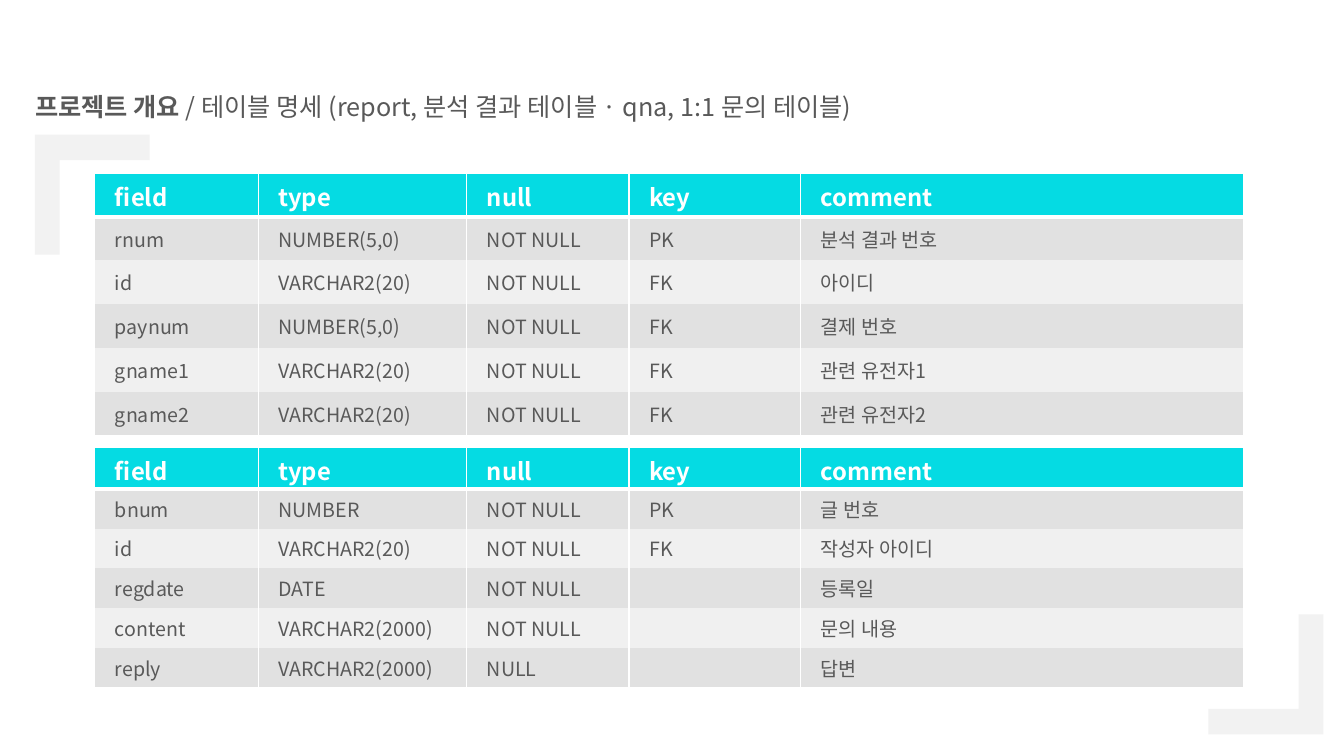
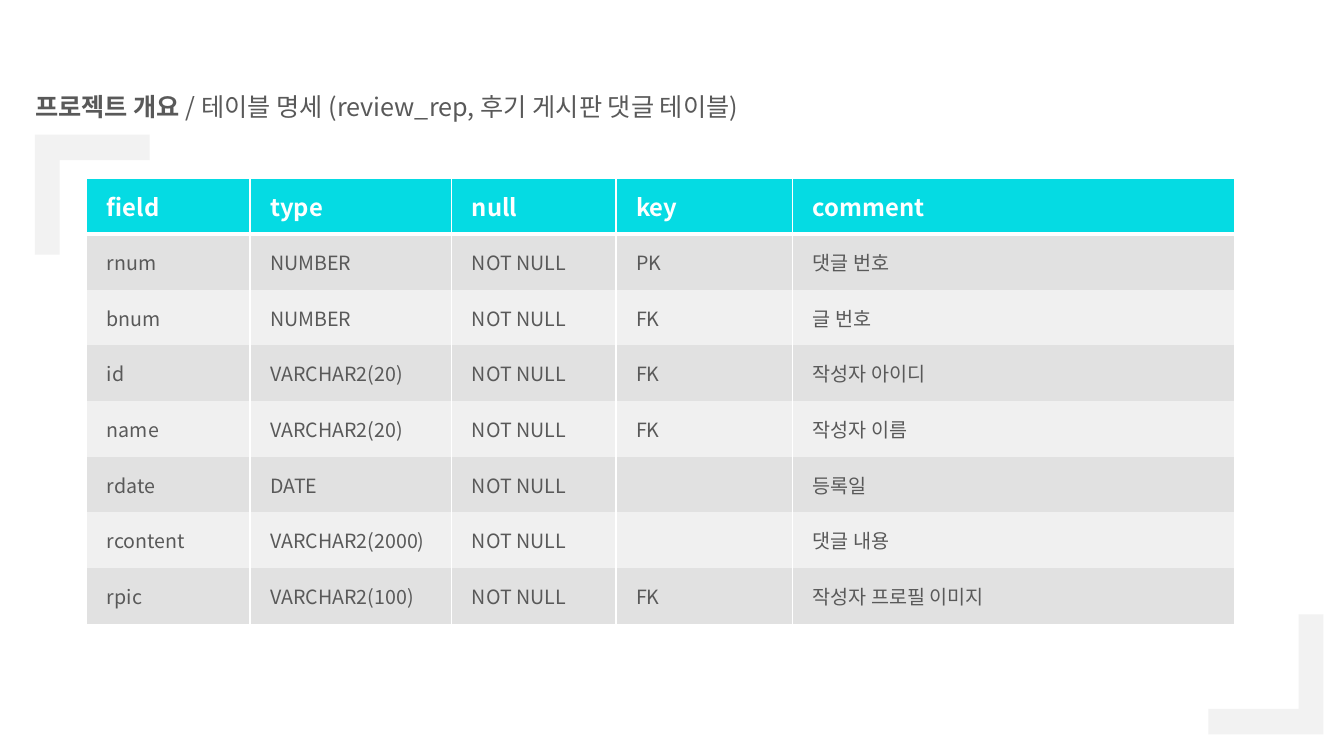
import pptx
import pptx.util
import pptx.dml.color
import pptx.enum.shapes
import pptx.enum.text
import pptx.oxml.ns
from lxml import etree

Inches, Pt = pptx.util.Inches, pptx.util.Pt
RGB = pptx.dml.color.RGBColor
qn = pptx.oxml.ns.qn

# Shared look
FONT = "Noto Sans CJK KR"
WHITE = RGB(0xFF, 0xFF, 0xFF)
GRAY = RGB(0x59, 0x59, 0x59)
CYAN = RGB(0x05, 0xDB, 0xE3)
PALE = RGB(0xF2, 0xF2, 0xF2)
BANDS = [RGB(0xF0, 0xF0, 0xF0), RGB(0xE1, 0xE1, 0xE1)]
TOPIC = "프로젝트 개요 "
HEAD = ("field", "type", "null", "key", "comment")
# left, top, rotation
MARKS = [(0.32, 1.36, 90), (11.96, 6.12, 270)]

# Content
NN = "NOT NULL"
REPORT = [
    ("rnum", "NUMBER(5,0)", NN, "PK", "분석 결과 번호"),
    ("id", "VARCHAR2(20)", NN, "FK", "아이디"),
    ("paynum", "NUMBER(5,0)", NN, "FK", "결제 번호"),
    ("gname1", "VARCHAR2(20)", NN, "FK", "관련 유전자1"),
    ("gname2", "VARCHAR2(20)", NN, "FK", "관련 유전자2"),
]
QNA = [
    ("bnum", "NUMBER", NN, "PK", "글 번호"),
    ("id", "VARCHAR2(20)", NN, "FK", "작성자 아이디"),
    ("regdate", "DATE", NN, "", "등록일"),
    ("content", "VARCHAR2(2000)", NN, "", "문의 내용"),
    ("reply", "VARCHAR2(2000)", "NULL", "", "답변"),
]
REVIEW = [
    ("rnum", "NUMBER", NN, "PK", "댓글 번호"),
    ("bnum", "NUMBER", NN, "FK", "글 번호"),
    ("id", "VARCHAR2(20)", NN, "FK", "작성자 아이디"),
    ("name", "VARCHAR2(20)", NN, "FK", "작성자 이름"),
    ("rdate", "DATE", NN, "", "등록일"),
    ("rcontent", "VARCHAR2(2000)", NN, "", "댓글 내용"),
    ("rpic", "VARCHAR2(100)", NN, "FK", "작성자 프로필 이미지"),
]
WIDE = (1.62, 2.07, 1.61, 1.7, 4.39)
SLIM = (1.62, 2, 1.63, 1.75, 4.39)
SLIDES = [
    ("/ 테이블 명세 (report, 분석 결과 테이블 · qna, 1:1 문의 테이블)", [
        dict(rows=REPORT, left=0.94, top=1.72, high=2.6, head=0.43, cols=WIDE),
        dict(rows=QNA, left=0.94, top=4.44, high=2.38, head=0.41, cols=WIDE),
    ]),
    ("/ 테이블 명세 (review_rep, 후기 게시판 댓글 테이블)", [
        dict(rows=REVIEW, left=0.86, top=1.77, high=4.42, head=0.55, cols=SLIM),
    ]),
]


def write(para, text, size=14, color=GRAY, bold=False):
    """Add one formatted run; an empty text only sets the line size."""
    if not text:
        etree.SubElement(para._p, qn("a:endParaRPr"), sz=str(size * 100))
        return
    run = para.add_run()
    run.text = text
    font = run.font
    font.name, font.size, font.bold = FONT, Pt(size), bold
    font.color.rgb = color
    etree.SubElement(font._element, qn("a:ea"), typeface=FONT)


def edge(cell, side, width):
    """Draw a white cell border, or none for width 0."""
    line = etree.SubElement(cell._tc.get_or_add_tcPr(), qn("a:ln" + side),
                            w=str(Pt(width)))
    if width:
        fill = etree.SubElement(line, qn("a:solidFill"))
        etree.SubElement(fill, qn("a:srgbClr"), val=str(WHITE))
    else:
        etree.SubElement(line, qn("a:noFill"))


def grid(slide, rows, left, top, high, head, cols):
    data = [HEAD] + rows
    table = slide.shapes.add_table(
        len(data), len(cols), Inches(left), Inches(top),
        Inches(sum(cols)), Inches(high)).table
    for col, width in zip(table.columns, cols):
        col.width = Inches(width)
    for r, texts in enumerate(data):
        table.rows[r].height = Inches((high - head) / len(rows) if r else head)
        # Border widths: left, right, top, bottom
        lines = (1, 1, 3 if r == 1 else 0, 0) if r else (1, 1, 1, 3)
        look = {} if r else dict(size=17, color=WHITE, bold=True)
        for c, text in enumerate(texts):
            cell = table.cell(r, c)
            cell.margin_left = Inches(0.2)
            cell.vertical_anchor = pptx.enum.text.MSO_ANCHOR.MIDDLE
            for side, width in zip("LRTB", lines):
                edge(cell, side, width)
            cell.fill.solid()
            cell.fill.fore_color.rgb = BANDS[r % 2] if r else CYAN
            write(cell.text_frame.paragraphs[0], text, **look)


def frame(slide, text):
    # Title line
    title = slide.shapes.title
    title.left, title.top = Inches(0.35), Inches(0.94)
    title.width, title.height = Inches(11.77), Inches(0.27)
    box = title.text_frame
    box.margin_left = box.margin_right = box.margin_top = box.margin_bottom = 0
    box.word_wrap = True
    box.auto_size = pptx.enum.text.MSO_AUTO_SIZE.SHAPE_TO_FIT_TEXT
    box.vertical_anchor = pptx.enum.text.MSO_ANCHOR.TOP
    para = box.paragraphs[0]
    para.alignment = pptx.enum.text.PP_ALIGN.LEFT
    para.line_spacing = 0.9
    write(para, TOPIC, size=18, bold=True)
    write(para, text, size=18)
    # Corner marks
    for left, top, turn in MARKS:
        mark = slide.shapes.add_shape(
            pptx.enum.shapes.MSO_SHAPE.CORNER, Inches(left), Inches(top),
            Inches(1.19), Inches(1.14))
        mark.rotation = turn
        mark.adjustments[0], mark.adjustments[1] = 0.215, 0.222
        mark.shadow.inherit = False
        mark.fill.solid()
        mark.fill.fore_color.rgb = PALE
        mark.line.fill.background()


def main():
    deck = pptx.Presentation()
    deck.slide_width, deck.slide_height = Inches(13.33), Inches(7.5)
    for text, grids in SLIDES:
        slide = deck.slides.add_slide(deck.slide_layouts[5])
        frame(slide, text)
        for part in grids:
            grid(slide, **part)
    deck.save("out.pptx")


if __name__ == "__main__":
    main()
